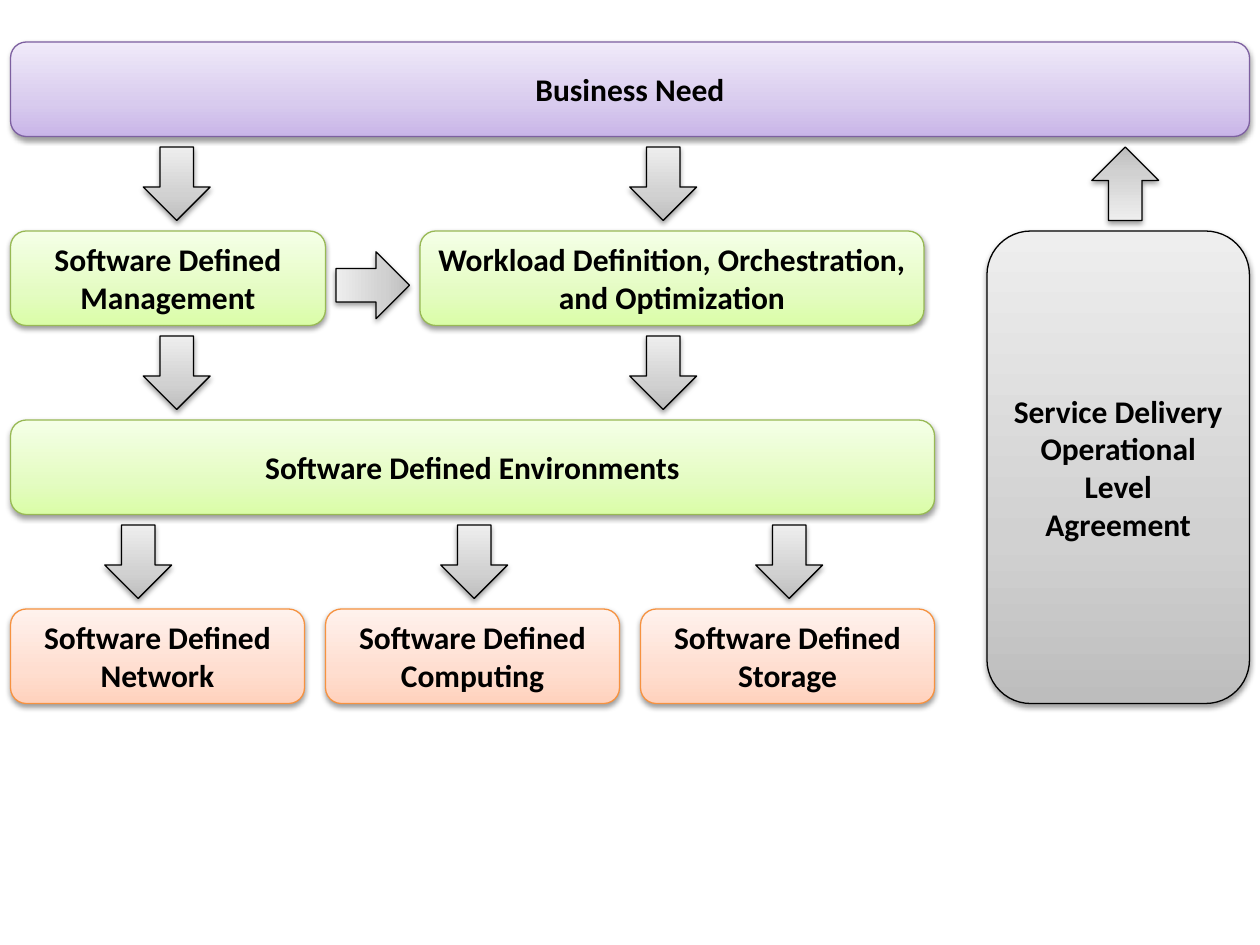
"""Builds a slide that shows how business need drives software defined layers."""
from copy import deepcopy
from dataclasses import dataclass

from lxml.etree import SubElement
from pptx import Presentation
from pptx.dml.color import RGBColor as RGB
from pptx.enum.shapes import MSO_SHAPE as Shape
from pptx.enum.text import MSO_ANCHOR as Anchor, PP_ALIGN as Align
from pptx.oxml.ns import qn
from pptx.util import Pt


@dataclass(frozen=True)
class Theme:
    font: str = "Calibri"
    size: float = 18
    ink: str = "000000"
    edge: float = 0.75
    need: tuple = ("7D60A0", "C9B5E8", "D8CBEE", "F0EAF9")
    soft: tuple = ("98B955", "DAFDA7", "E4FCC2", "F5FFE7")
    base: tuple = ("F69240", "FFD2BD", "FFDED0", "FFF2ED")
    gray: tuple = ("000000", "BDBDBD", "D1D1D1", "EEEEEE")


THEME = Theme()
LEFT, TOP, PITCH, HIGH = 6, 24, 108, 54
WIDE, TALL = 38.2, 42


def row_top(row):
    return TOP + row * PITCH


def shade(shape, tones):
    fill = shape.fill
    fill.gradient()
    fill.gradient_angle = 90
    stops = shape._element.spPr.find(qn("a:gradFill")).find(qn("a:gsLst"))
    stops.append(deepcopy(stops[-1]))
    for stop, tone, place in zip(fill.gradient_stops, tones, (0, 0.35, 1)):
        stop.color.rgb = RGB.from_string(tone)
        stop.position = place


def cast(shape):
    shape.shadow.inherit = False
    effects = shape._element.spPr.find(qn("a:effectLst"))
    drop = SubElement(effects, qn("a:outerShdw"), blurRad="40000",
                      dist="20000", dir="5400000", rotWithShape="0")
    tint = SubElement(drop, qn("a:srgbClr"), val=THEME.ink)
    SubElement(tint, qn("a:alpha"), val="38000")


def draw(slide, kind, left, top, width, height, tones):
    shape = slide.shapes.add_shape(kind, Pt(left), Pt(top), Pt(width), Pt(height))
    edge, *fade = tones
    shade(shape, fade)
    shape.line.color.rgb = RGB.from_string(edge)
    shape.line.width = Pt(THEME.edge)
    cast(shape)
    return shape


def write(shape, text, size=THEME.size, color=THEME.ink, bold=True):
    frame = shape.text_frame
    frame.word_wrap = True
    frame.vertical_anchor = Anchor.MIDDLE
    para = frame.paragraphs[0]
    para.alignment = Align.CENTER
    run = para.add_run()
    run.text = text
    run.font.name = THEME.font
    run.font.size = Pt(size)
    run.font.bold = bold
    run.font.color.rgb = RGB.from_string(color)


def box(slide, text, left, row, width, tones, height=HIGH):
    shape = draw(slide, Shape.ROUNDED_RECTANGLE, left, row_top(row),
                 width, height, tones)
    write(shape, text)


def arrow(slide, mid_x, mid_y, turn=0):
    shape = draw(slide, Shape.DOWN_ARROW, mid_x - WIDE / 2, mid_y - TALL / 2,
                 WIDE, TALL, THEME.gray)
    shape.rotation = turn


def main():
    deck = Presentation()
    deck.slide_width, deck.slide_height = Pt(720), Pt(540)
    slide = deck.slides.add_slide(deck.slide_layouts[6])

    box(slide, "Business Need", LEFT, 0, 708, THEME.need)
    box(slide, "Software Defined Management", LEFT, 1, 180, THEME.soft)
    box(slide, "Workload Definition, Orchestration, and Optimization",
        240, 1, 288, THEME.soft)
    box(slide, "Software Defined Environments", LEFT, 2, 528, THEME.soft)
    for col, part in enumerate(("Network", "Computing", "Storage")):
        box(slide, f"Software Defined {part}", LEFT + col * 180, 3, 168, THEME.base)
    box(slide, "Service Delivery Operational Level Agreement",
        564, 1, 150, THEME.gray, height=2 * PITCH + HIGH)

    gap = (PITCH + HIGH) / 2
    for row, mids in enumerate(((101, 379), (101, 379), (79, 271, 451))):
        for mid in mids:
            arrow(slide, mid, row_top(row) + gap)
    arrow(slide, 213, 163, turn=270)
    arrow(slide, 643, row_top(0) + gap, turn=180)

    deck.save("out.pptx")


if __name__ == "__main__":
    main()
